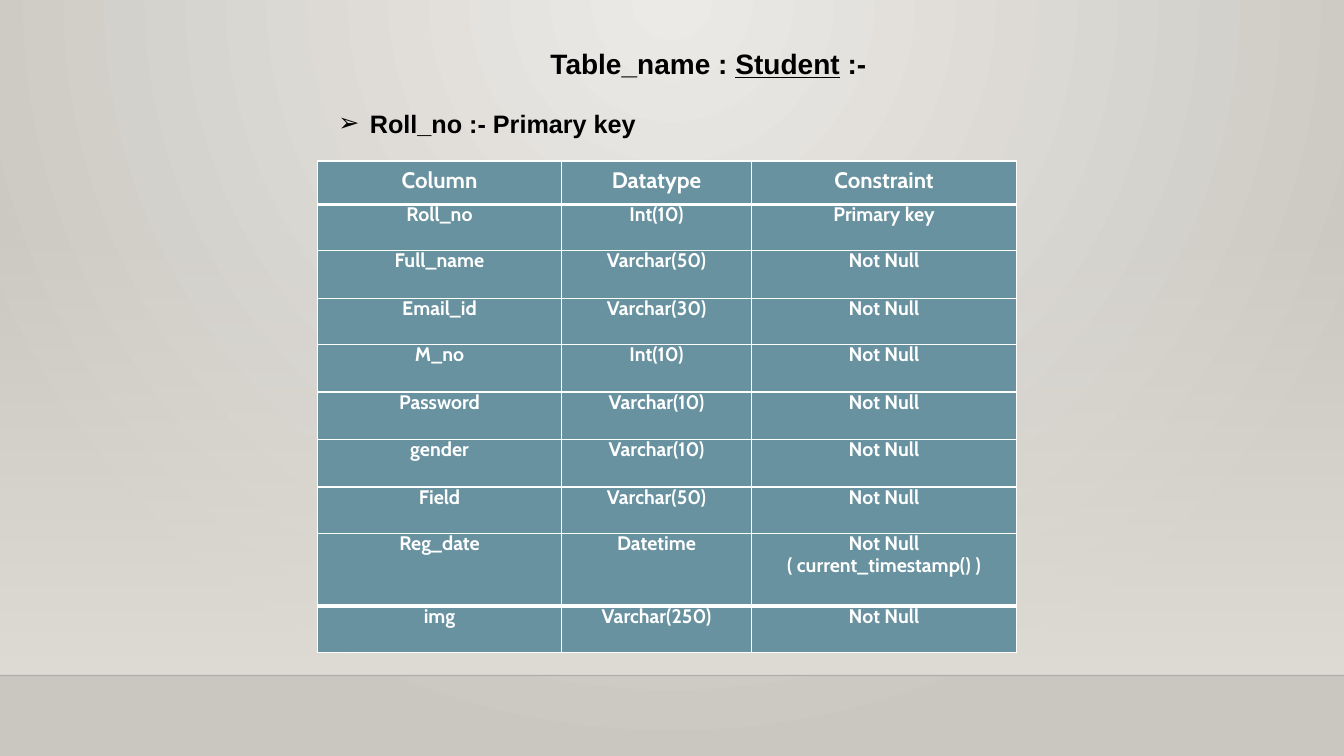
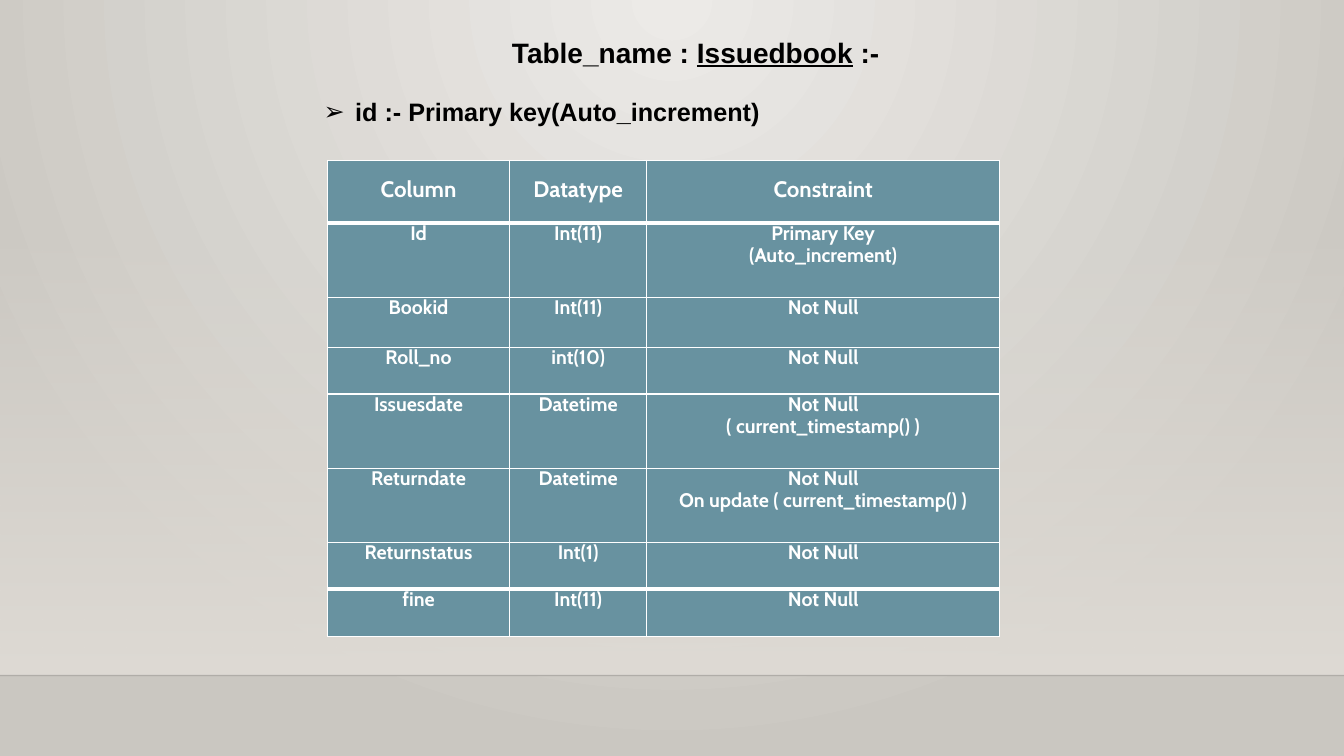
from lxml import etree
from pptx import Presentation
from pptx import oxml
from pptx import util as u
from pptx.dml.color import RGBColor
from pptx.enum import shapes, text
from pptx.oxml import ns

Pt = u.Pt
BLACK = RGBColor(0x00, 0x00, 0x00)
WHITE = RGBColor(0xFF, 0xFF, 0xFF)
TEAL = RGBColor(0x68, 0x92, 0xA0)
GLOW = RGBColor(0xEC, 0xEA, 0xE7)
STONE = RGBColor(0xCA, 0xC7, 0xC1)
WALL = RGBColor(0xDF, 0xDB, 0xD5)
HEADING_FONT, TABLE_FONT = "Arial", "Cabin"
LINE_SPACING = 15.7
WIDTH, HEIGHT, FLOOR = 960, 540, 482.5


def set_gradient(fill, start, end, direction, start_alpha=100):
    """Give a fill two colour stops and the direction element passed as XML."""
    fill.gradient()
    fill.gradient_stops[0].color.rgb = start
    fill.gradient_stops[1].color.rgb = end
    grad = fill._fill._gradFill
    first, last = grad.findall(".//" + ns.qn("a:gs"))
    first.set("pos", "0")
    last.set("pos", "100000")
    etree.SubElement(first[0], ns.qn("a:alpha"), val=str(start_alpha * 1000))
    grad.remove(grad.find(ns.qn("a:lin")))
    grad.append(oxml.parse_xml(direction.replace(" ", f" {ns.nsdecls('a')} ", 1)))


def set_borders(cell, top, bottom):
    """Draw white borders round a cell, with widths in points."""
    properties = cell._tc.get_or_add_tcPr()
    for side, width in (("L", 1), ("R", 1), ("T", top), ("B", bottom)):
        properties.append(oxml.parse_xml(
            f'<a:ln{side} {ns.nsdecls("a")} w="{Pt(width)}"><a:solidFill>'
            f'<a:srgbClr val="{WHITE}"/></a:solidFill></a:ln{side}>'))


SLIDES = [
    {
        "name": "Student", "title_at": (386, 29.5),
        "key": "Roll_no :- Primary key", "key_at": (198.5, 73.5),
        "table_at": (227, 115), "columns": (174, 136, 189),
        "heights": (31, 33, 34, 33, 34, 34, 34, 33, 52, 33),
        "rows": [
            ("Column", "Datatype", "Constraint"),
            ("Roll_no", "Int(10)", "Primary key"),
            ("Full_name", "Varchar(50)", "Not Null"),
            ("Email_id", "Varchar(30)", "Not Null"),
            ("M_no", "Int(10)", "Not Null"),
            ("Password", "Varchar(10)", "Not Null"),
            ("gender", "Varchar(10)", "Not Null"),
            ("Field", "Varchar(50)", "Not Null"),
            ("Reg_date", "Datetime", "Not Null\n( current_timestamp() )"),
            ("img", "Varchar(250)", "Not Null"),
        ],
    },
    {
        "name": "Issuedbook", "title_at": (358.5, 21.5),
        "key": "id :- Primary key(Auto_increment)", "key_at": (188, 65.5),
        "table_at": (234, 114.5), "columns": (130, 98, 252),
        "heights": (45, 53, 36, 33, 53, 53, 33.5, 33.5),
        "rows": [
            ("Column", "Datatype", "Constraint"),
            ("Id", "Int(11)", "Primary Key\n(Auto_increment)"),
            ("Bookid", "Int(11)", "Not Null"),
            ("Roll_no", "int(10)", "Not Null"),
            ("Issuesdate", "Datetime", "Not Null\n( current_timestamp() )"),
            ("Returndate", "Datetime",
             "Not Null\nOn update ( current_timestamp() )"),
            ("Returnstatus", "Int(1)", "Not Null"),
            ("fine", "Int(11)", "Not Null"),
        ],
    },
]

deck = Presentation()
deck.slide_width, deck.slide_height = Pt(WIDTH), Pt(HEIGHT)
layout = deck.slide_layouts[1]
pages = [deck.slides.add_slide(layout) for _ in SLIDES]

# Shared background on the master
set_gradient(deck.slide_master.background.fill, GLOW, STONE,
             '<a:path path="circle"><a:fillToRect l="43000" t="0" '
             'r="43000" b="100000"/></a:path>')

# Shared wall and floor line, moved from the first page to the layout
wall = pages[0].shapes.add_shape(shapes.MSO_SHAPE.RECTANGLE, 0, Pt(159),
                                 Pt(WIDTH), Pt(FLOOR - 159))
wall.shadow.inherit = False
wall.line.fill.background()
set_gradient(wall.fill, WALL, WALL, '<a:lin ang="5400000" scaled="0"/>', 0)

floor_line = pages[0].shapes.add_connector(
    shapes.MSO_CONNECTOR.STRAIGHT, 0, Pt(FLOOR), Pt(WIDTH), Pt(FLOOR))
floor_line.line.width = Pt(1)
floor_line.line.color.rgb = BLACK
line_color = floor_line._element.spPr.find(".//" + ns.qn("a:srgbClr"))
etree.SubElement(line_color, ns.qn("a:alpha"), val="20000")
etree.SubElement(floor_line._element.spPr, ns.qn("a:effectLst"))

for position, part in enumerate((wall, floor_line), start=2):
    layout.shapes._spTree.insert(position, part._element)

for page, content in zip(pages, SLIDES):
    # Title with the table name underlined
    title, body = page.shapes.title, page.placeholders[1]
    para = title.text_frame.paragraphs[0]
    for words in ("Table_name : ", content["name"], " :-"):
        span = para.add_run()
        span.text = words
        span.font.underline = words == content["name"]

    # Key line with an arrow bullet
    body.text_frame.text = content["key"]
    properties = body.text_frame.paragraphs[0]._p.get_or_add_pPr()
    properties.set("marL", str(Pt(58.5)))
    properties.set("indent", str(Pt(-22.5)))
    etree.SubElement(properties, ns.qn("a:buChar"), char="➢")

    for box, place, height, size in ((title, "title_at", 31.5, 20),
                                     (body, "key_at", 29, 18)):
        box.left, box.top = map(Pt, content[place])
        box.width, box.height = Pt(480), Pt(height)
        frame = box.text_frame
        frame.word_wrap = True
        frame.auto_size = text.MSO_AUTO_SIZE.NONE
        frame.vertical_anchor = text.MSO_ANCHOR.TOP
        para = frame.paragraphs[0]
        para.alignment = text.PP_ALIGN.LEFT
        para.space_before = Pt(0)
        for span in para.runs:
            span.font.name, span.font.size = HEADING_FONT, Pt(size)
            span.font.bold = True
            span.font.color.rgb = BLACK

    # Table of columns
    rows, columns, heights = (content[k] for k in ("rows", "columns", "heights"))
    left, top = content["table_at"]
    table = page.shapes.add_table(len(rows), len(columns), Pt(left), Pt(top),
                                  Pt(sum(columns)), Pt(sum(heights))).table
    for column, width in zip(table.columns, columns):
        column.width = Pt(width)
    last = len(rows) - 1
    for r, values in enumerate(rows):
        table.rows[r].height = Pt(heights[r])
        for c, value in enumerate(values):
            cell = table.cell(r, c)
            cell.text = value
            cell.margin_left = cell.margin_right = 0
            cell.margin_top = cell.margin_bottom = 0
            cell.vertical_anchor = (text.MSO_ANCHOR.TOP if r
                                    else text.MSO_ANCHOR.MIDDLE)
            set_borders(cell, top=3 if r in (1, last) else 1,
                        bottom=3 if r in (0, last - 1) else 1)
            cell.fill.solid()
            cell.fill.fore_color.rgb = TEAL
            for para in cell.text_frame.paragraphs:
                para.alignment = text.PP_ALIGN.CENTER
                para.line_spacing = Pt(LINE_SPACING)
                for span in para.runs:
                    span.font.name = TABLE_FONT
                    span.font.size = Pt(14 if r else 16)
                    span.font.bold = True
                    span.font.color.rgb = WHITE

deck.save("out.pptx")
